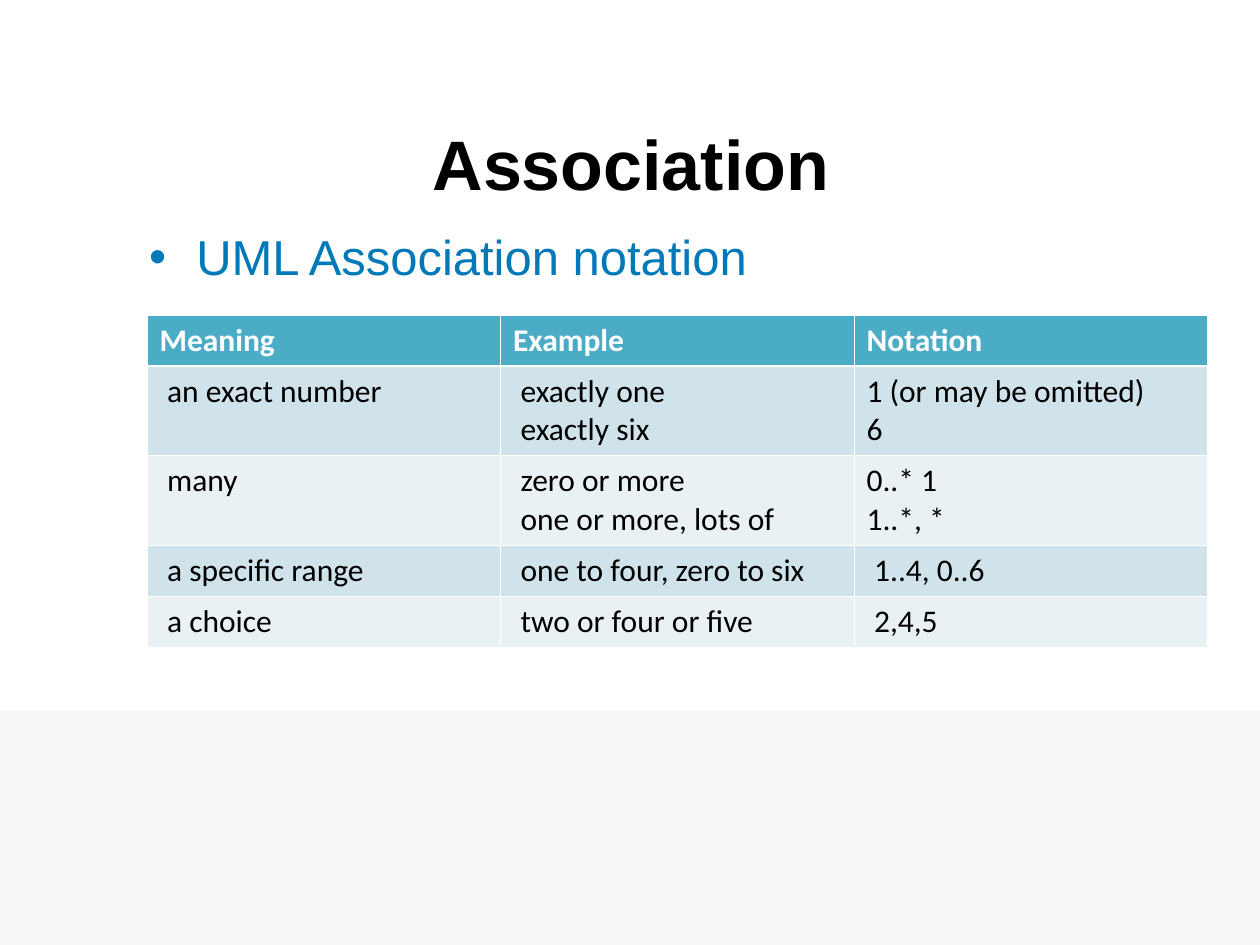
"""Build a slide that lists the UML association notation in a table."""
import dataclasses

import lxml.etree
import pptx
import pptx.dml.color
import pptx.enum.shapes
import pptx.enum.text
import pptx.oxml
import pptx.oxml.ns
import pptx.util


@dataclasses.dataclass(frozen=True)
class Theme:
    black: str = "000000"
    white: str = "FFFFFF"
    accent: str = "0079B8"
    footer: str = "F7F7F7"
    header: str = "4BACC6"
    bands: tuple = ("E9F1F5", "D0E3EA")
    heading_font: str = "Arial"
    table_font: str = "Calibri"
    title_size: int = 40
    body_size: int = 28
    table_size: int = 18
    thin: float = 0.5
    thick: float = 1.5


theme = Theme()
prs = pptx.Presentation()
prs.slide_width = pptx.util.Inches(10)
prs.slide_height = pptx.util.Inches(7.5)
unit = prs.slide_width / 120
rgb = pptx.dml.color.RGBColor.from_string
qn = pptx.oxml.ns.qn


def add_run(p, text, font, size, color, bold=False):
    r = p.add_run()
    r.text = text
    r.font.name = font
    r.font.size = pptx.util.Pt(size)
    r.font.color.rgb = rgb(color)
    r.font.bold = bold


def set_border(cell, index, side, width):
    ln = lxml.etree.Element(qn(f"a:ln{side}"), w=str(int(pptx.util.Pt(width))))
    fill = lxml.etree.SubElement(ln, qn("a:solidFill"))
    lxml.etree.SubElement(fill, qn("a:srgbClr"), val=theme.white)
    cell._tc.get_or_add_tcPr().insert(index, ln)


s = prs.slides.add_slide(prs.slide_layouts[1])
s.background.fill.solid()
s.background.fill.fore_color.rgb = rgb(theme.white)

footer_top = int(67.7 * unit)
footer = s.shapes.add_shape(
    pptx.enum.shapes.MSO_SHAPE.RECTANGLE,
    0, footer_top, prs.slide_width, prs.slide_height - footer_top,
)
footer.shadow.inherit = False
footer.fill.solid()
footer.fill.fore_color.rgb = rgb(theme.footer)
footer.line.fill.background()
s.shapes.element.insert(2, footer.element)

title, body = s.placeholders
for sp, box in ((title, (40, 8, 74, 15)), (body, (13, 21, 101, 59.4))):
    sp.left, sp.top, sp.width, sp.height = (int(n * unit) for n in box)
    sp.text_frame.word_wrap = True
    sp.text_frame.auto_size = pptx.enum.text.MSO_AUTO_SIZE.NONE

title.text_frame.vertical_anchor = pptx.enum.text.MSO_ANCHOR.MIDDLE
p = title.text_frame.paragraphs[0]
p.alignment = pptx.enum.text.PP_ALIGN.LEFT
add_run(p, "Association", theme.heading_font, theme.title_size, theme.black, True)

p = body.text_frame.paragraphs[0]
pPr = p._p.get_or_add_pPr()
indent = int(4.5 * unit)
pPr.set("marL", str(indent))
pPr.set("indent", str(-indent))
bullet_color = lxml.etree.SubElement(pPr, qn("a:buClr"))
lxml.etree.SubElement(bullet_color, qn("a:srgbClr"), val=theme.accent)
lxml.etree.SubElement(pPr, qn("a:buChar"), char="•")
p.space_before = pptx.util.Pt(0)
add_run(p, "UML Association notation", theme.heading_font, theme.body_size, theme.accent)

rows = [
    (["Meaning"], ["Example"], ["Notation"]),
    (["an exact number"], ["exactly one", "exactly six"], ["1 (or may be omitted)", "6"]),
    (["many"], ["zero or more", "one or more, lots of"], ["0..* 1", "1..*, *"]),
    (["a specific range"], ["one to four, zero to six"], ["1..4, 0..6"]),
    (["a choice"], ["two or four or five"], ["2,4,5"]),
]
line_counts = [max(len(lines) for lines in row) for row in rows]
heights = [int((1.2 + 3.6 * count) * unit) for count in line_counts]
table = s.shapes.add_table(
    len(rows), 3, int(14 * unit), int(30 * unit), int(101 * unit), sum(heights)
).table

for i, row in enumerate(rows):
    table.rows[i].height = heights[i]
    for j, lines in enumerate(row):
        cell = table.cell(i, j)
        flush = i == 0 or (j == 2 and line_counts[i] == 2)
        cell.margin_left = pptx.util.Inches(0.1 if flush else 0.16)
        cell.fill.solid()
        cell.fill.fore_color.rgb = rgb(theme.bands[i % 2] if i else theme.header)
        for k, side in enumerate("LRTB"):
            under_header = (i, side) in ((0, "B"), (1, "T"))
            set_border(cell, k, side, theme.thick if under_header else theme.thin)
        tf = cell.text_frame
        for n, line in enumerate(lines):
            p = tf.add_paragraph() if n else tf.paragraphs[0]
            color = theme.black if i else theme.white
            add_run(p, line, theme.table_font, theme.table_size, color, i == 0)

prs.save("out.pptx")
